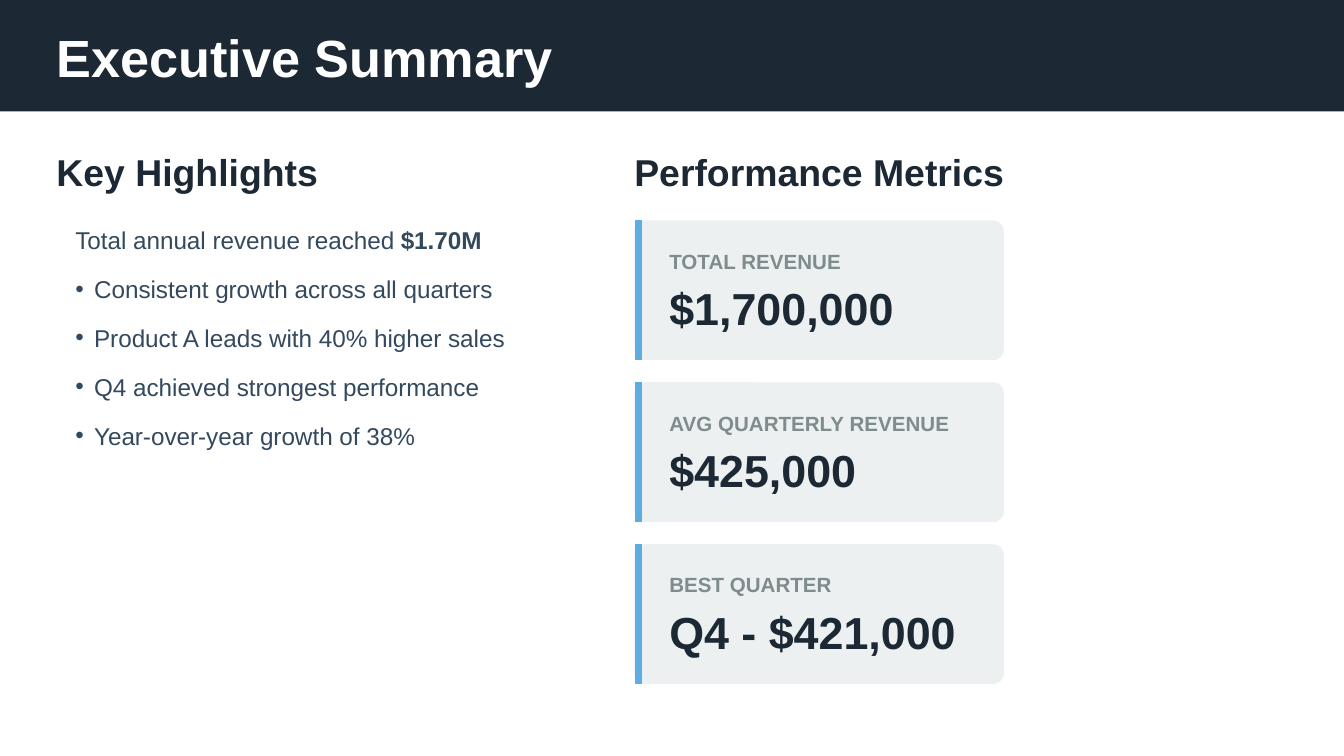
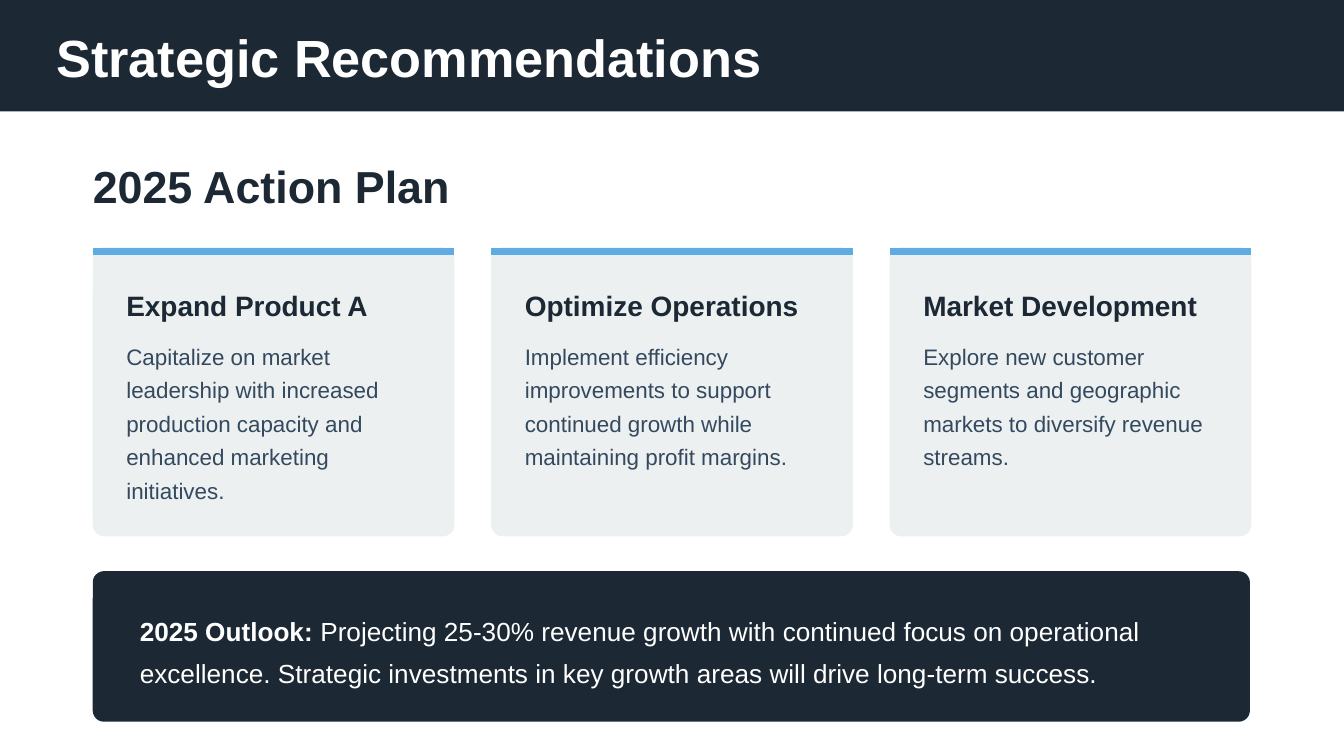
from lxml import etree
from pptx import Presentation
from pptx import util as u
from pptx.dml.color import RGBColor
from pptx.enum import shapes, text
from pptx.oxml.ns import qn

FONT = "Arial"
NAVY = "1C2833"
SLATE = "34495E"
GRAY = "7F8C8D"
PALE = "ECF0F1"
BLUE = "5DADE2"
WHITE = "FFFFFF"
CORNER = u.Pt(6)
LINE_WIDTH = 3.75
HALF_LINE = 0.03

HIGHLIGHTS = [
    [("Total annual revenue reached ", False), ("$1.70M", True)],
    [("Consistent growth across all quarters", False)],
    [("Product A leads with 40% higher sales", False)],
    [("Q4 achieved strongest performance", False)],
    [("Year-over-year growth of 38%", False)],
]
METRICS = [
    ("TOTAL REVENUE", "$1,700,000"),
    ("AVG QUARTERLY REVENUE", "$425,000"),
    ("BEST QUARTER", "Q4 - $421,000"),
]
ACTIONS = [
    ("Expand Product A", 5,
     "Capitalize on market leadership with increased production capacity "
     "and enhanced marketing initiatives."),
    ("Optimize Operations", 4,
     "Implement efficiency improvements to support continued growth "
     "while maintaining profit margins."),
    ("Market Development", 4,
     "Explore new customer segments and geographic markets "
     "to diversify revenue streams."),
]
OUTLOOK = [
    ("2025 Outlook:", True),
    (" Projecting 25-30% revenue growth with continued focus on operational "
     "excellence. Strategic investments in key growth areas will drive "
     "long-term success.", False),
]


def color(value):
    return RGBColor.from_string(value)


def spread(first, last, items):
    step = (last - first) / (len(items) - 1)
    return [(first + index * step, item) for index, item in enumerate(items)]


def add_box(slide, kind, left, top, width, height, fill):
    shape = slide.shapes.add_shape(
        kind, u.Inches(left), u.Inches(top), u.Inches(width), u.Inches(height))
    shape.shadow.inherit = False
    shape.fill.solid()
    shape.fill.fore_color.rgb = color(fill)
    shape.line.fill.background()
    return shape


def add_panel(slide, left, top, width, height, fill):
    panel = add_box(slide, shapes.MSO_SHAPE.ROUNDED_RECTANGLE,
                    left, top, width, height, fill)
    panel.adjustments[0] = CORNER / min(panel.width, panel.height)


def add_accent(slide, x1, y1, x2, y2):
    accent = slide.shapes.add_connector(
        shapes.MSO_CONNECTOR.STRAIGHT,
        u.Inches(x1), u.Inches(y1), u.Inches(x2), u.Inches(y2))
    accent.line.color.rgb = color(BLUE)
    accent.line.width = u.Pt(LINE_WIDTH)
    etree.SubElement(accent._element.spPr, qn("a:effectLst"))


def add_text_frame(slide, left, top, width, height, inset=0):
    box = slide.shapes.add_textbox(
        u.Inches(left), u.Inches(top), u.Inches(width), u.Inches(height))
    frame = box.text_frame
    frame.word_wrap = True
    frame.vertical_anchor = text.MSO_ANCHOR.TOP
    frame.margin_left = u.Inches(inset)
    frame.margin_top = frame.margin_right = frame.margin_bottom = 0
    return frame


def fill_paragraph(paragraph, runs, size, hue, leading=None, after=0):
    paragraph.space_after = u.Pt(after)
    if leading:
        paragraph.line_spacing = u.Pt(leading)
    for words, bold in runs:
        run = paragraph.add_run()
        run.text = words
        run.font.name = FONT
        run.font.size = u.Pt(size)
        run.font.bold = bold
        run.font.color.rgb = color(hue)


def add_text(slide, left, top, width, height, runs, size, hue, leading=None, after=0):
    frame = add_text_frame(slide, left, top, width, height)
    fill_paragraph(frame.paragraphs[0], runs, size, hue, leading, after)


def add_heading(slide, left, top, width, height, words, size, hue=NAVY, after=0):
    add_text(slide, left, top, width, height, [(words, True)], size, hue, after=after)


def set_bullet(paragraph, visible):
    properties = paragraph._p.get_or_add_pPr()
    properties.set("marL", str(u.Inches(0.14)))
    properties.set("indent", str(u.Inches(-0.14)))
    if visible:
        etree.SubElement(properties, qn("a:buSzPct")).set("val", "100000")
        etree.SubElement(properties, qn("a:buFont")).set("typeface", FONT)
        etree.SubElement(properties, qn("a:buChar")).set("char", "•")
    else:
        etree.SubElement(properties, qn("a:buNone"))


def add_highlights(slide, left, top, width, height):
    frame = add_text_frame(slide, left, top, width, height, inset=0.14)
    for index, runs in enumerate(HIGHLIGHTS):
        paragraph = frame.add_paragraph() if index else frame.paragraphs[0]
        fill_paragraph(paragraph, runs, 13, SLATE, leading=18.2, after=8)
        set_bullet(paragraph, visible=index > 0)


def add_metric(slide, left, top, label, value):
    height = 1.04
    add_panel(slide, left, top, 2.75, height, PALE)
    add_accent(slide, left + HALF_LINE, top, left + HALF_LINE, top + height)
    add_heading(slide, left + 0.26, top + 0.21, 2.32, 0.17, label, 11, GRAY, after=5)
    add_heading(slide, left + 0.26, top + 0.45, 2.32, 0.39, value, 24)


def add_action(slide, left, top, title, line_count, description):
    width = 2.69
    add_panel(slide, left, top, width, 2.15, PALE)
    add_accent(slide, left, top + HALF_LINE, left + width, top + HALF_LINE)
    add_heading(slide, left + 0.25, top + 0.31, 2.23, 0.24, title, 15, after=8)
    add_text(slide, left + 0.25, top + 0.66, 2.23, line_count * 0.25,
             [(description, False)], 12, SLATE, leading=18)


def add_titled_slide(presentation, title, title_width):
    slide = presentation.slides.add_slide(presentation.slide_layouts[6])
    slide.background.fill.solid()
    slide.background.fill.fore_color.rgb = color(WHITE)
    add_box(slide, shapes.MSO_SHAPE.RECTANGLE, 0, 0, 10, 0.83, NAVY)
    add_heading(slide, 0.42, 0.19, title_width, 0.45, title, 28, WHITE)
    return slide


def build_summary(presentation):
    slide = add_titled_slide(presentation, "Executive Summary", 3.77)
    add_heading(slide, 0.42, 1.11, 3.97, 0.32, "Key Highlights", 20, after=15)
    add_highlights(slide, 0.42, 1.64, 3.89, 1.71)
    add_heading(slide, 4.72, 1.11, 2.8, 0.32, "Performance Metrics", 20, after=15)
    for top, metric in spread(1.64, 4.05, METRICS):
        add_metric(slide, 4.72, top, *metric)


def build_recommendations(presentation):
    slide = add_titled_slide(presentation, "Strategic Recommendations", 5.36)
    add_heading(slide, 0.69, 1.18, 8.78, 0.39, "2025 Action Plan", 24, after=20)
    for left, action in spread(0.69, 6.62, ACTIONS):
        add_action(slide, left, 1.84, *action)
    add_panel(slide, 0.69, 4.25, 8.61, 1.12, NAVY)
    add_text(slide, 1.04, 4.5, 8.08, 0.62, OUTLOOK, 14, WHITE, leading=22.4)


def main():
    presentation = Presentation()
    presentation.slide_width = u.Inches(10)
    presentation.slide_height = u.Inches(10 * 9 / 16)
    build_summary(presentation)
    build_recommendations(presentation)
    presentation.save("out.pptx")


if __name__ == "__main__":
    main()
